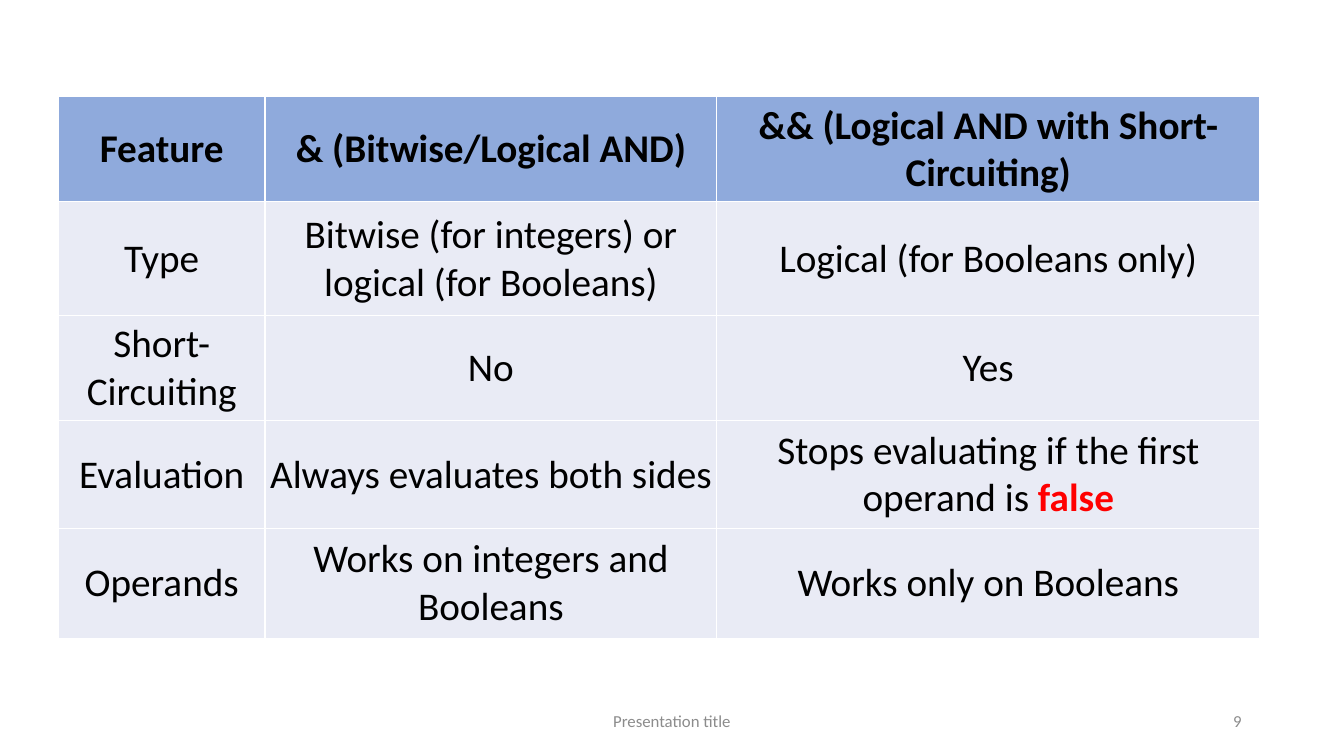
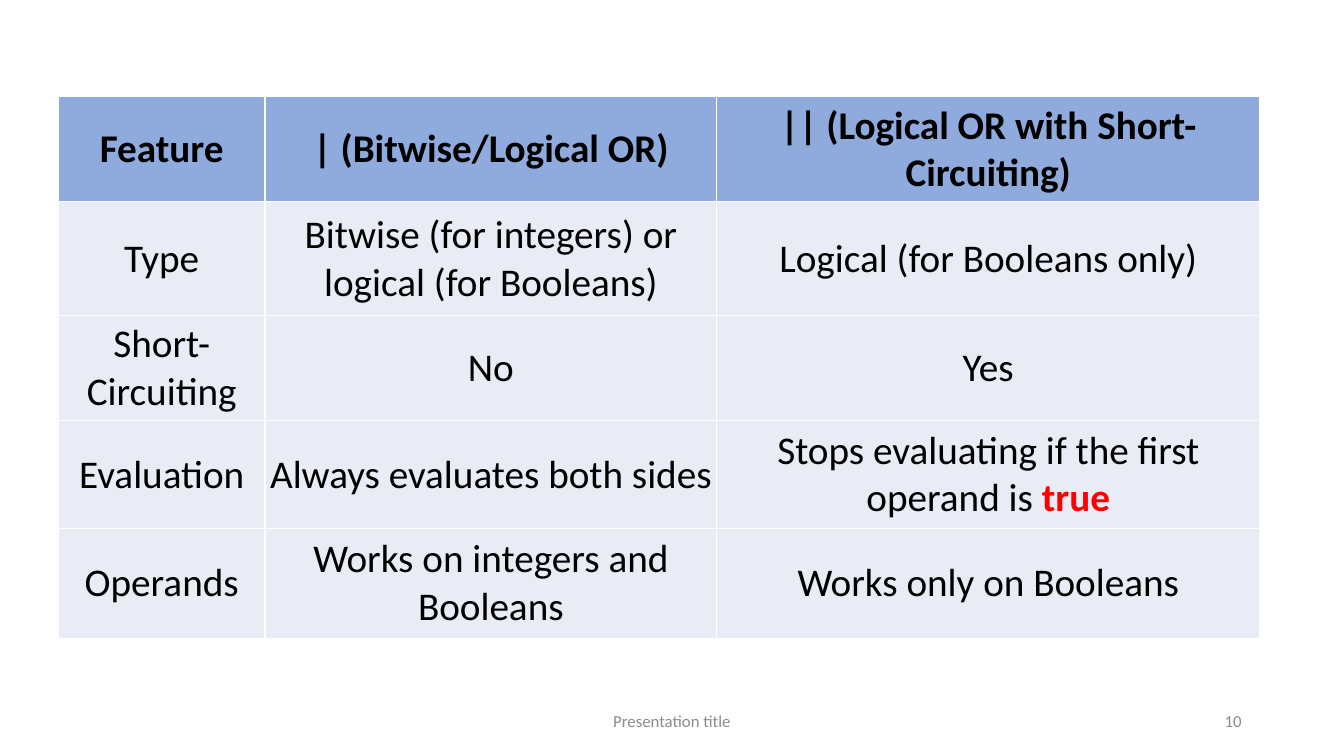
from lxml import etree
from pptx import Presentation
from pptx.dml.color import RGBColor
from pptx.enum import text
from pptx.oxml import ns
from pptx.util import Cm, Pt

# Content: one comparison per slide (operator, name, value that stops evaluation)
FIRST_PAGE = 9
FOOTER = "Presentation title"
OPERATORS = [("&", "AND", "false"), ("|", "OR", "true")]


def comparison_rows(symbol, name, stop_value):
    return [
        ("Feature", f"{symbol} (Bitwise/Logical {name})",
         f"{symbol * 2} (Logical {name} with Short-Circuiting)"),
        ("Type", "Bitwise (for integers) or logical (for Booleans)",
         "Logical (for Booleans only)"),
        ("Short-Circuiting", "No", "Yes"),
        ("Evaluation", "Always evaluates both sides",
         ("Stops evaluating if the first operand is ", stop_value)),
        ("Operands", "Works on integers and Booleans", "Works only on Booleans"),
    ]


# Shared style
FONT = "Calibri"
BLACK = RGBColor(0x00, 0x00, 0x00)
RED = RGBColor(0xFF, 0x00, 0x00)
GRAY = RGBColor(0x8C, 0x8C, 0x8C)
WHITE = RGBColor(0xFF, 0xFF, 0xFF)
HEADER_BLUE = RGBColor(0x8F, 0xAA, 0xDC)
BODY_BLUE = RGBColor(0xE9, 0xEB, 0xF5)
LEFT, CENTER, RIGHT = (text.PP_ALIGN.LEFT, text.PP_ALIGN.CENTER,
                       text.PP_ALIGN.RIGHT)

# Layout in centimetres
TABLE_LEFT, TABLE_TOP = 1.47, 2.44
COLUMN_WIDTHS = [5.21, 11.38, 13.69]
ROW_HEIGHTS = [2.64, 2.87, 2.64, 2.72, 2.77]
CELL_INSET = 0.02
FOOTER_TOP, FOOTER_HEIGHT = 17.65, 1.02


def write(paragraph, content, size=28, color=BLACK, bold=False, align=LEFT):
    """Append formatted text to a paragraph."""
    paragraph.alignment = align
    run = paragraph.add_run()
    run.text = content
    run.font.name = FONT
    run.font.size = Pt(size)
    run.font.bold = bold
    run.font.color.rgb = color


def add_footer_part(slide, content, left, width, align):
    box = slide.shapes.add_textbox(Cm(left), Cm(FOOTER_TOP), Cm(width),
                                   Cm(FOOTER_HEIGHT))
    frame = box.text_frame
    frame.word_wrap = True
    frame.vertical_anchor = text.MSO_ANCHOR.MIDDLE
    write(frame.paragraphs[0], content, size=12, color=GRAY, align=align)


def add_borders(cell, color=WHITE, width=1):
    properties = cell._tc.get_or_add_tcPr()
    for side in ("lnL", "lnR", "lnT", "lnB"):
        line = etree.SubElement(properties, ns.qn(f"a:{side}"), w=str(Pt(width)))
        fill = etree.SubElement(line, ns.qn("a:solidFill"))
        etree.SubElement(fill, ns.qn("a:srgbClr"), val=str(color))


def fill_cell(cell, content, is_header):
    add_borders(cell)
    cell.fill.solid()
    cell.fill.fore_color.rgb = HEADER_BLUE if is_header else BODY_BLUE
    cell.vertical_anchor = text.MSO_ANCHOR.MIDDLE
    cell.margin_left = cell.margin_right = cell.margin_top = Cm(CELL_INSET)
    cell.margin_bottom = 0
    # A pair holds a plain part and a highlighted part
    plain, *highlights = [content] if isinstance(content, str) else content
    paragraph = cell.text_frame.paragraphs[0]
    write(paragraph, plain, bold=is_header, align=CENTER)
    for highlight in highlights:
        write(paragraph, highlight, color=RED, bold=True, align=CENTER)


def add_comparison(slide, rows):
    table = slide.shapes.add_table(
        len(ROW_HEIGHTS), len(COLUMN_WIDTHS), Cm(TABLE_LEFT), Cm(TABLE_TOP),
        Cm(sum(COLUMN_WIDTHS)), Cm(sum(ROW_HEIGHTS))).table
    for column, width in zip(table.columns, COLUMN_WIDTHS):
        column.width = Cm(width)
    for index, (row, height, contents) in enumerate(
            zip(table.rows, ROW_HEIGHTS, rows)):
        row.height = Cm(height)
        for cell, content in zip(row.cells, contents):
            fill_cell(cell, content, is_header=index == 0)


def main():
    deck = Presentation()
    deck.slide_width, deck.slide_height = Cm(33.87), Cm(19.05)
    blank = deck.slide_layouts[6]
    for page, operator in enumerate(OPERATORS, FIRST_PAGE):
        slide = deck.slides.add_slide(blank)
        add_footer_part(slide, FOOTER, left=11.22, width=11.43, align=CENTER)
        add_footer_part(slide, str(page), left=23.92, width=7.62, align=RIGHT)
        add_comparison(slide, comparison_rows(*operator))
    deck.save("out.pptx")


if __name__ == "__main__":
    main()
